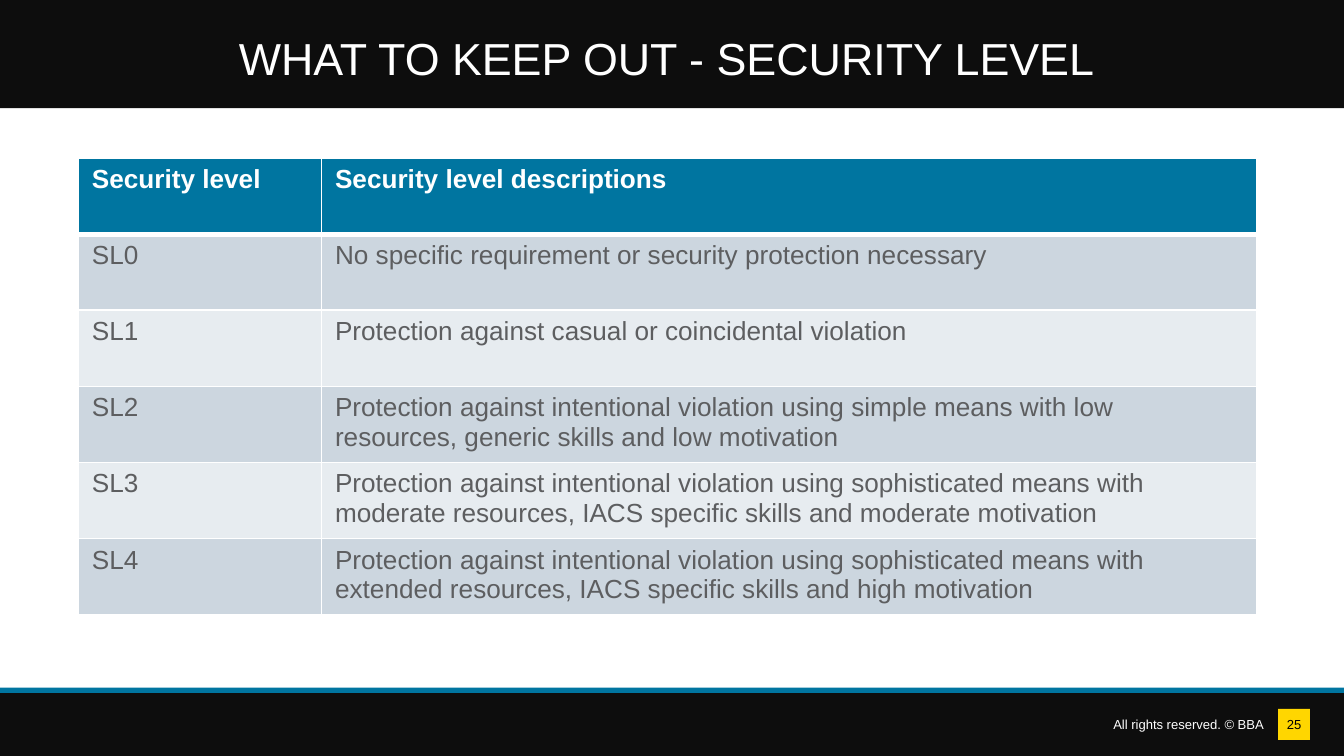
from dataclasses import dataclass

from lxml.etree import SubElement
from pptx import Presentation
from pptx.dml.color import RGBColor
from pptx.enum.shapes import MSO_SHAPE
from pptx.enum.text import MSO_ANCHOR, MSO_AUTO_SIZE, PP_ALIGN
from pptx.oxml.ns import qn
from pptx.util import Pt


@dataclass(frozen=True)
class Theme:
    font: str = "Arial"
    black: str = "0D0D0D"
    blue: str = "0075A0"
    yellow: str = "FFD600"
    white: str = "FFFFFF"
    number: str = "000000"
    body: str = "5D5E60"
    dark_band: str = "CCD6DF"
    light_band: str = "E7ECF0"
    title_size: float = 24
    table_size: float = 14
    footer_size: float = 7
    thin: float = 1
    thick: float = 3


THEME = Theme()
PAGE_WIDTH, PAGE_HEIGHT = 720, 405
COLUMN_WIDTHS = (130.3, 501)
ROW_HEIGHT = 40.8
LEVELS = (
    ("Security level", "Security level descriptions"),
    ("SL0", "No specific requirement or security protection necessary"),
    ("SL1", "Protection against casual or coincidental violation"),
    ("SL2", "Protection against intentional violation using simple means with low "
            "resources, generic skills and low motivation"),
    ("SL3", "Protection against intentional violation using sophisticated means with "
            "moderate resources, IACS specific skills and moderate motivation"),
    ("SL4", "Protection against intentional violation using sophisticated means with "
            "extended resources, IACS specific skills and high motivation"),
)


def set_values(target, values):
    for name, value in values.items():
        setattr(target, name, value)


def place(shape, left, top, width, height):
    set_values(shape, {"left": Pt(left), "top": Pt(top),
                       "width": Pt(width), "height": Pt(height)})


def write(frame, text, size, color, align=PP_ALIGN.LEFT, bold=False):
    para = frame.paragraphs[0]
    para.alignment = align
    span = para.add_run()
    span.text = text
    set_values(span.font, {"name": THEME.font, "size": Pt(size), "bold": bold})
    span.font.color.rgb = RGBColor.from_string(color)


def format_frame(frame, wrap=True):
    set_values(frame, {"margin_left": 0, "margin_right": 0, "margin_top": 0,
                       "margin_bottom": 0, "word_wrap": wrap,
                       "auto_size": MSO_AUTO_SIZE.NONE,
                       "vertical_anchor": MSO_ANCHOR.MIDDLE})


def add_block(page, left, top, width, height, color):
    block = page.shapes.add_shape(MSO_SHAPE.RECTANGLE, Pt(left), Pt(top), Pt(width), Pt(height))
    block.shadow.inherit = False
    block.fill.solid()
    block.fill.fore_color.rgb = RGBColor.from_string(color)
    block.line.fill.background()


def add_label(page, left, top, width, height, text, color, align, wrap=True):
    box = page.shapes.add_textbox(Pt(left), Pt(top), Pt(width), Pt(height))
    format_frame(box.text_frame, wrap)
    write(box.text_frame, text, THEME.footer_size, color, align)


def add_title(page, text):
    title = page.shapes.title
    title.element.getparent().append(title.element)
    place(title, 18, 16.5, 684, 29)
    format_frame(title.text_frame)
    write(title.text_frame, text, THEME.title_size, THEME.white, PP_ALIGN.CENTER)


def set_borders(cell, widths):
    properties = cell._tc.get_or_add_tcPr()
    for side, width in widths.items():
        line = SubElement(properties, qn(f"a:ln{side}"), w=str(Pt(width)))
        fill = SubElement(line, qn("a:solidFill"))
        SubElement(fill, qn("a:srgbClr"), val=THEME.white)


def format_cell(cell, row, text):
    header = row == 0
    band = THEME.dark_band if row % 2 else THEME.light_band
    set_borders(cell, {"L": THEME.thin, "R": THEME.thin,
                       "T": THEME.thick if row == 1 else THEME.thin,
                       "B": THEME.thick if header else THEME.thin})
    cell.fill.solid()
    cell.fill.fore_color.rgb = RGBColor.from_string(THEME.blue if header else band)
    write(cell.text_frame, text, THEME.table_size,
          THEME.white if header else THEME.body, bold=header)


def add_level_table(page):
    table = page.shapes.add_table(
        len(LEVELS), len(COLUMN_WIDTHS), Pt(42), Pt(84.6),
        Pt(sum(COLUMN_WIDTHS)), Pt(ROW_HEIGHT * len(LEVELS))).table
    for column, width in zip(table.columns, COLUMN_WIDTHS):
        column.width = Pt(width)
    for row, texts in enumerate(LEVELS):
        table.rows[row].height = Pt(ROW_HEIGHT)
        for column, text in enumerate(texts):
            format_cell(table.cell(row, column), row, text)


def add_footer(page):
    add_block(page, 0, 370, PAGE_WIDTH, 35, THEME.black)
    add_label(page, 498.5, 379.8, 178.5, 16.6, "All rights reserved. © BBA",
              THEME.white, PP_ALIGN.RIGHT)
    add_block(page, 684.8, 379.8, 17, 16.6, THEME.yellow)
    add_label(page, 689, 383.8, 8.6, 8.6, "25", THEME.number, PP_ALIGN.CENTER, False)
    add_block(page, 0, 368.4, PAGE_WIDTH, 2.9, THEME.blue)


def main():
    deck = Presentation()
    set_values(deck, {"slide_width": Pt(PAGE_WIDTH), "slide_height": Pt(PAGE_HEIGHT)})
    page = deck.slides.add_slide(deck.slide_layouts.get_by_name("Title Only"))
    add_block(page, 0, 0, PAGE_WIDTH, 58, THEME.black)
    add_footer(page)
    add_title(page, "WHAT TO KEEP OUT - SECURITY LEVEL ")
    add_level_table(page)
    deck.save("out.pptx")


if __name__ == "__main__":
    main()
